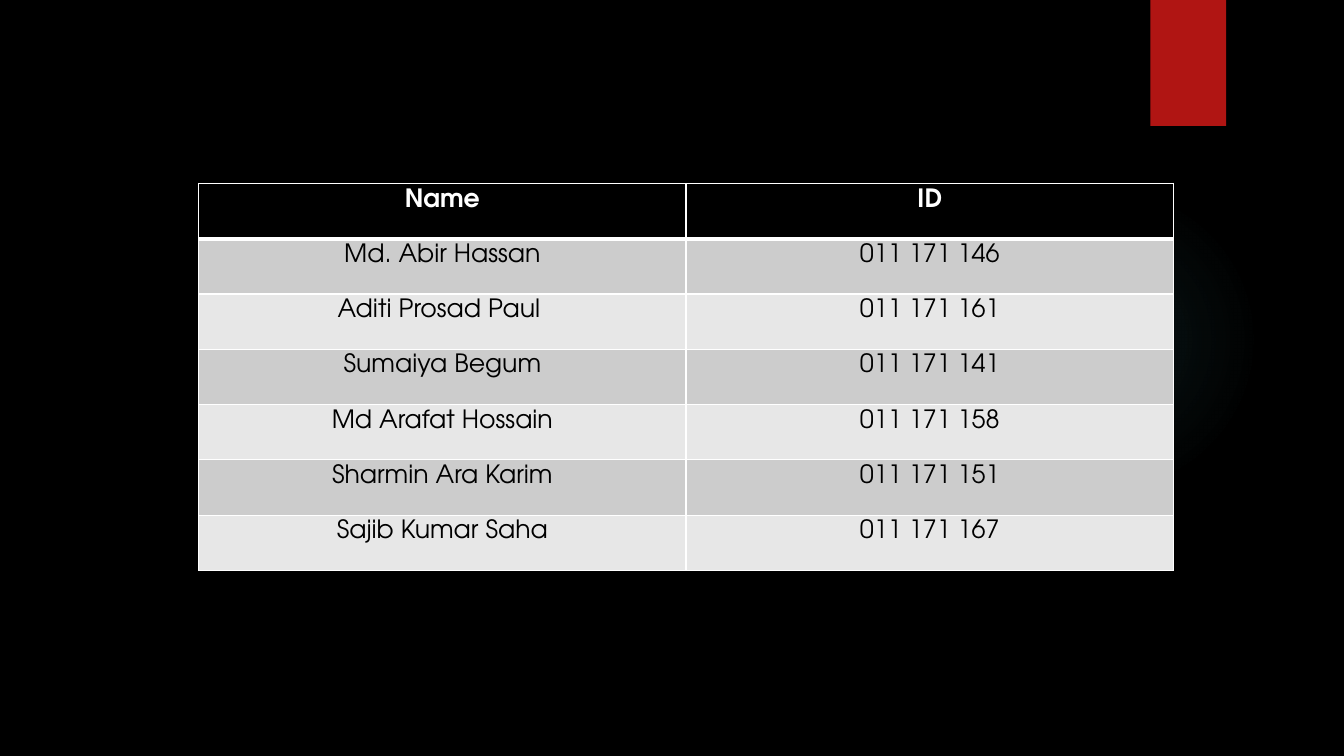
from dataclasses import dataclass

from pptx import Presentation
from pptx.dml.color import RGBColor
from pptx.enum.shapes import MSO_SHAPE as Shape
from pptx.enum.text import PP_ALIGN as Align
from pptx.oxml import parse_xml
from pptx.oxml.ns import nsdecls
from pptx.util import Inches, Pt


@dataclass(frozen=True)
class Theme:
    font: str = "TeX Gyre Adventor"
    text_size: int = 18
    dark: str = "000000"
    light: str = "FFFFFF"
    accent: str = "B01513"
    glow: str = "50B9C1"
    bands: tuple = ("CCCCCC", "E7E7E7")
    thin_line: int = 1
    thick_line: int = 3


class SlideBuilder:
    """Draws on one slide; every box is (left, top, width, height) in percent."""

    def __init__(self, presentation, theme):
        self.theme = theme
        self.width = presentation.slide_width
        self.height = presentation.slide_height
        self.slide = presentation.slides.add_slide(presentation.slide_layouts[6])
        self.paint(self.slide.background.fill, theme.dark)

    def place(self, box):
        sides = (self.width, self.height) * 2
        return [round(share * side / 100) for share, side in zip(box, sides)]

    def paint(self, fill, color):
        fill.solid()
        fill.fore_color.rgb = RGBColor.from_string(color)

    def add_shape(self, kind, box, color):
        shape = self.slide.shapes.add_shape(kind, *self.place(box))
        shape.shadow.inherit = False
        shape.line.fill.background()
        self.paint(shape.fill, color)
        return shape

    def add_glow(self, box, stops):
        """Add an ellipse that fades outwards; stops are (position, opacity) in percent."""
        shape = self.add_shape(Shape.OVAL, box, self.theme.glow)
        stop_xml = "".join(
            f'<a:gs pos="{position * 1000}"><a:srgbClr val="{self.theme.glow}">'
            f'<a:alpha val="{opacity * 1000}"/></a:srgbClr></a:gs>'
            for position, opacity in stops
        )
        gradient = parse_xml(
            f'<a:gradFill {nsdecls("a")} rotWithShape="1"><a:gsLst>{stop_xml}</a:gsLst>'
            '<a:path path="circle"><a:fillToRect l="50000" t="50000" r="50000" b="50000"/>'
            "</a:path></a:gradFill>"
        )
        properties = shape.element.spPr
        properties.replace(properties.find("{*}solidFill"), gradient)

    def add_table(self, box, rows):
        frame = self.slide.shapes.add_table(len(rows), len(rows[0]), *self.place(box))
        table = frame.table
        for row_index, values in enumerate(rows):
            for column_index, value in enumerate(values):
                self.fill_cell(table.cell(row_index, column_index), value, row_index)

    def fill_cell(self, cell, value, row_index):
        theme = self.theme
        is_header = row_index == 0
        self.add_borders(
            cell,
            top=theme.thick_line if row_index == 1 else theme.thin_line,
            bottom=theme.thick_line if is_header else theme.thin_line,
        )
        band = theme.bands[(row_index - 1) % len(theme.bands)]
        self.paint(cell.fill, theme.dark if is_header else band)
        cell.text = value
        paragraph = cell.text_frame.paragraphs[0]
        paragraph.alignment = Align.CENTER
        font = paragraph.font
        font.name = theme.font
        font.size = Pt(theme.text_size)
        font.bold = is_header
        font.color.rgb = RGBColor.from_string(theme.light if is_header else theme.dark)

    def add_borders(self, cell, top, bottom):
        thin = self.theme.thin_line
        properties = cell._tc.get_or_add_tcPr()
        for side, width in zip("LRTB", (thin, thin, top, bottom)):
            properties.append(parse_xml(
                f'<a:ln{side} {nsdecls("a")} w="{Pt(width)}"><a:solidFill>'
                f'<a:srgbClr val="{self.theme.light}"/></a:solidFill></a:ln{side}>'
            ))


MEMBERS = [
    ("Name", "ID"),
    ("Md. Abir Hassan", "011 171 146"),
    ("Aditi Prosad Paul ", "011 171 161"),
    ("Sumaiya Begum", "011 171 141"),
    ("Md Arafat Hossain", "011 171 158"),
    ("Sharmin Ara Karim", "011 171 151"),
    ("Sajib Kumar Saha", "011 171 167"),
]


def main():
    presentation = Presentation()
    presentation.slide_width = Inches(13.33)
    presentation.slide_height = Inches(7.5)
    theme = Theme()
    builder = SlideBuilder(presentation, theme)
    builder.add_glow((70.59, 24.4, 23.11, 41.07), [(0, 7), (36, 6), (69, 0), (100, 0)])
    builder.add_shape(Shape.RECTANGLE, (85.6, 0, 5.63, 16.67), theme.accent)
    builder.add_table((14.78, 24.27, 72.54, 51.2), MEMBERS)
    presentation.save("out.pptx")


if __name__ == "__main__":
    main()
